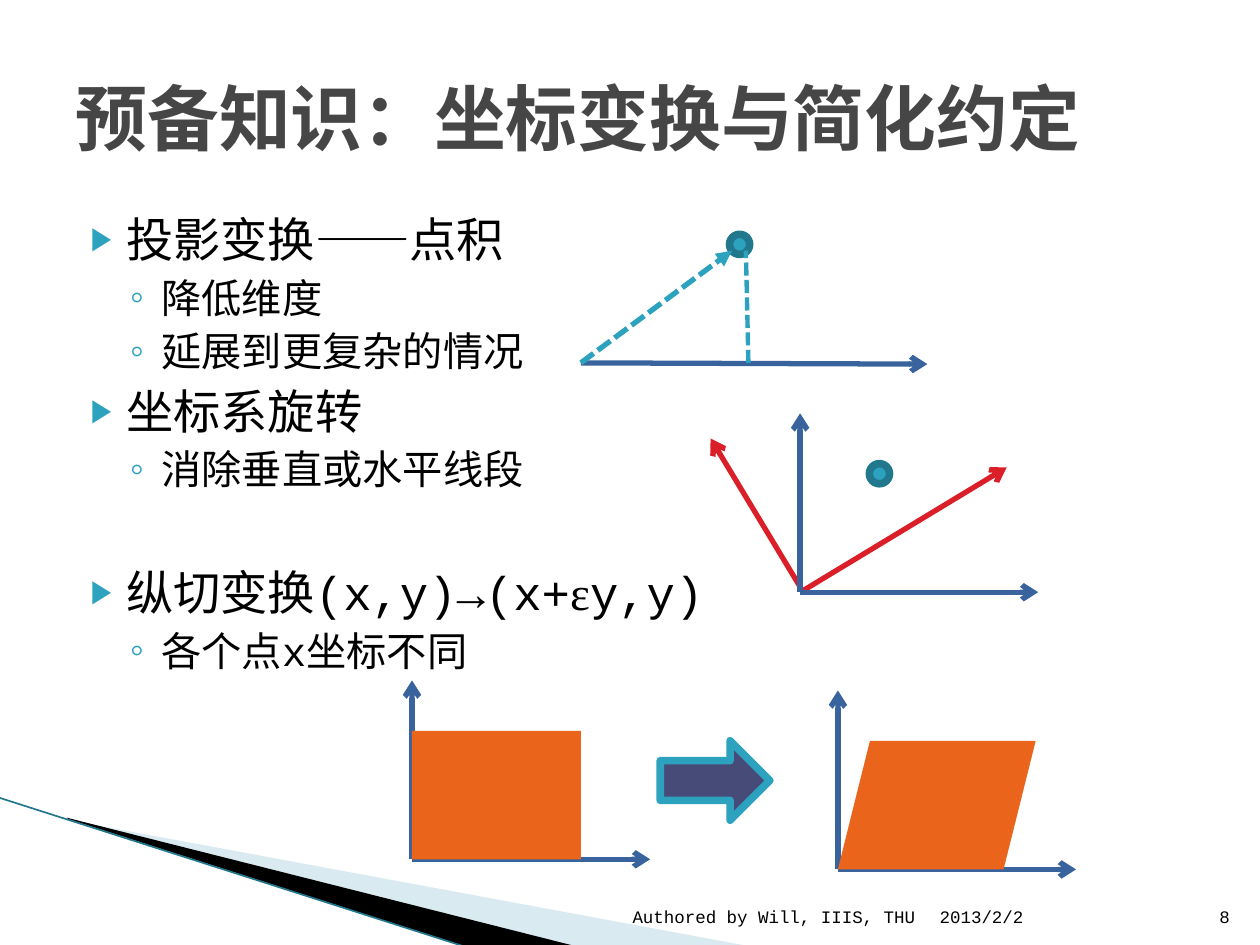
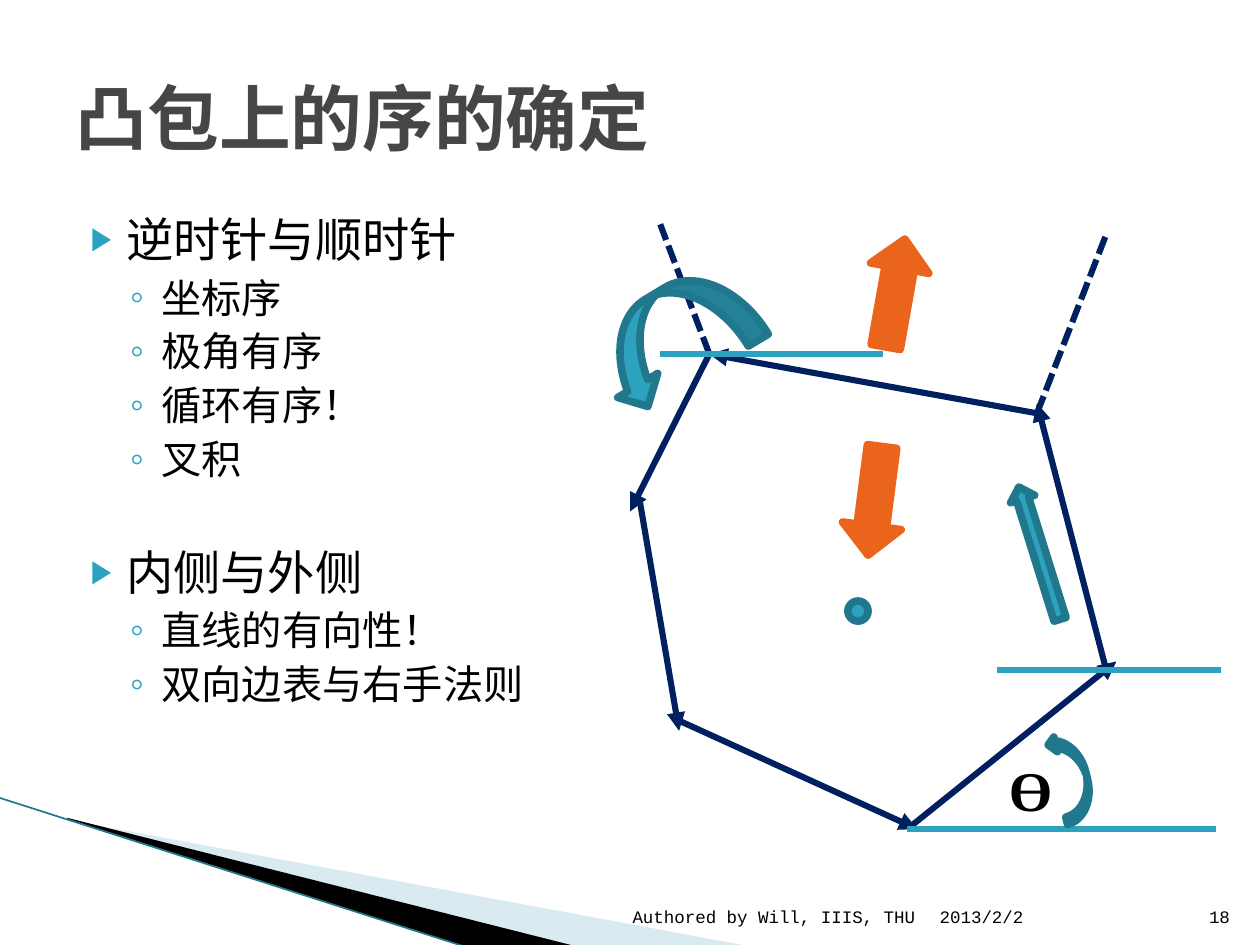
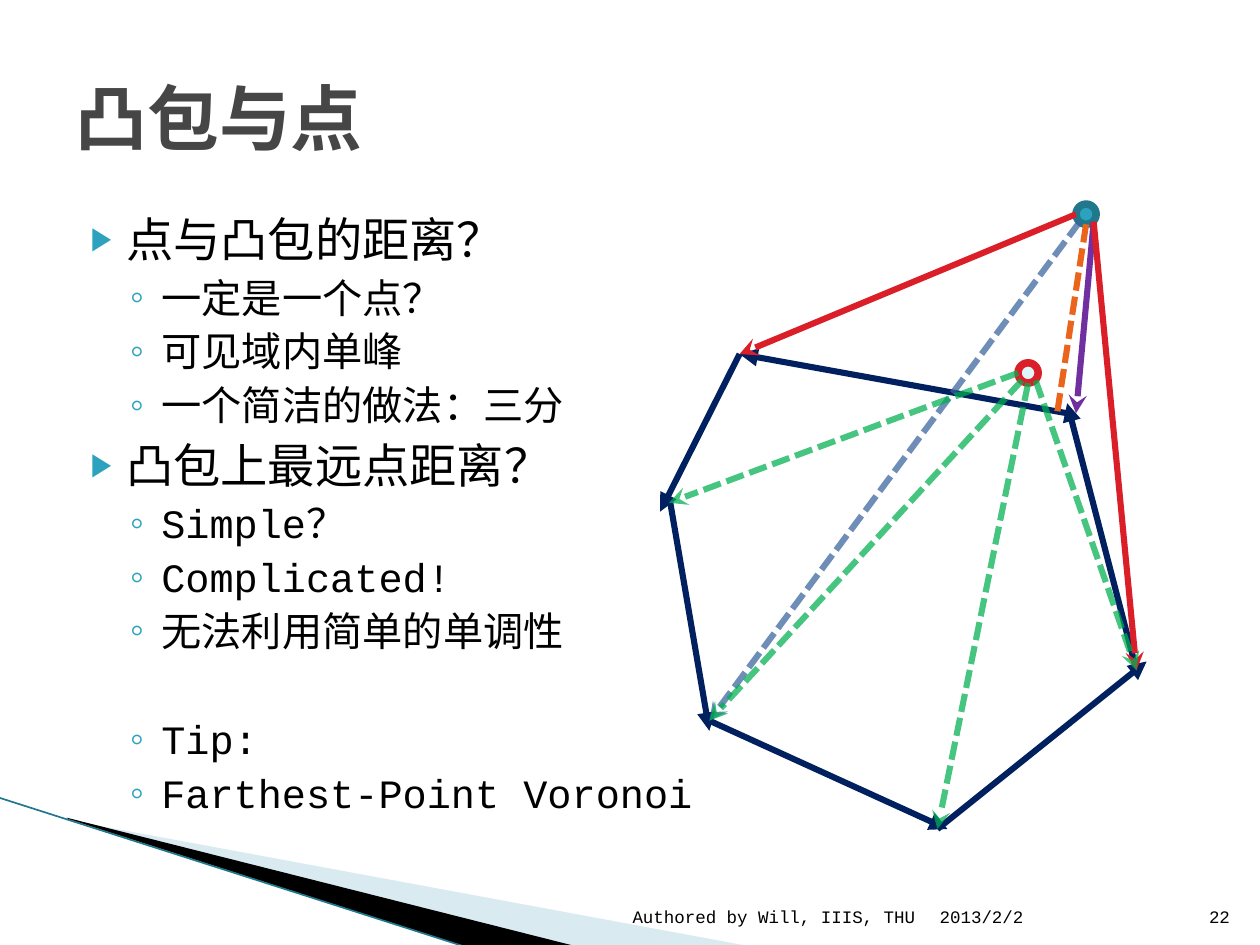
from lxml import etree
from pptx import Presentation
from pptx.dml.color import RGBColor
from pptx.enum.dml import MSO_LINE
from pptx.enum.shapes import MSO_CONNECTOR, MSO_SHAPE
from pptx.enum.text import MSO_ANCHOR, MSO_AUTO_SIZE, PP_ALIGN
from pptx.oxml.ns import qn
from pptx.util import Inches, Pt

STRAIGHT = MSO_CONNECTOR.STRAIGHT
SYS_DASH = MSO_LINE.SQUARE_DOT
ELLIPSE, RECT = MSO_SHAPE.OVAL, MSO_SHAPE.RECTANGLE
PARALLELOGRAM = MSO_SHAPE.PARALLELOGRAM
RIGHT_ARROW, DOWN_ARROW = MSO_SHAPE.RIGHT_ARROW, MSO_SHAPE.DOWN_ARROW
CURVED_ARROW = MSO_SHAPE.CURVED_UP_ARROW
LEFT, RIGHT = PP_ALIGN.LEFT, PP_ALIGN.RIGHT
TITLE_AND_CONTENT = 1

FONT, GREEK_FONT = "Courier New", "Times New Roman"
COLORS = {
    "text": "000000", "title": "464646", "teal": "2DA2BF", "dark teal": "21788D",
    "blue": "39639D", "navy": "002060", "red": "DA1F28", "orange": "EB641B",
    "green": "00B050", "purple": "7030A0", "indigo": "474B78", "ice": "DEF5FA",
    "pale band": "A0CBDC", "dark band": "000000",
}

# Stroke: colour, width, dashed, arrowhead, opacity in percent
STROKES = {
    "axis": ("blue", 3, False, "arrow", 100),
    "rotated axis": ("red", 3, False, "arrow", 100),
    "vector": ("teal", 3, True, "triangle", 100),
    "drop": ("teal", 2.5, True, None, 100),
    "hull edge": ("navy", 3.5, False, "triangle", 100),
    "extension": ("navy", 3.5, True, None, 100),
    "horizontal": ("teal", 3.5, False, None, 100),
    "tangent": ("red", 3.5, False, "stealth", 100),
    "nearest vertex": ("purple", 3.5, False, "stealth", 100),
    "distance": ("orange", 3.5, True, None, 100),
    "farthest": ("blue", 3.5, True, "stealth", 72),
    "inner distance": ("green", 3.5, True, "stealth", 72),
    "band edge": ("dark teal", 0.95, False, None, 100),
}

# Bullet level: size, left indent, hanging indent, space before, mark, mark size
LEVELS = [
    (27, 0.40, 0.28, 4, "▶", 68),
    (23, 0.68, 0.25, 3.2, "◦", 100),
]

BANDS = [
    ("pale band", 40, [(0.55, 6.51), (5.95, 7.51), (4.56, 7.51), (0.55, 6.5)]),
    ("dark band", 100, [(0.53, 6.49), (4.57, 7.51), (3.72, 7.52), (0.54, 6.5)]),
]

HULL = [
    ((5.63, 2.81), (5, 4.06)), ((5.08, 3.99), (5.39, 5.8)),
    ((5.39, 5.72), (7.28, 6.58)), ((7.2, 6.58), (8.86, 5.25)),
    ((8.78, 5.32), (8.23, 3.2)), ((8.23, 3.28), (5.63, 2.81)),
]


def axes(x, y):
    return [("axis", (x, y), (x + 1.89, y)), ("axis", (x, y), (x, y - 1.42))]


def hull(shift=0):
    return [("hull edge", (x1 + shift, y1), (x2 + shift, y2))
            for (x1, y1), (x2, y2) in HULL]


def point(x, y, fill="teal", outline="dark teal"):
    return (ELLIPSE, (x, y, 0.16, 0.16), 0, fill, outline)


# Bullets: level, text, extra space before in points.
# Figure parts: (stroke, start, end) or (preset, box, rotation, fill, outline)
SLIDES = [
    {
        "title": "预备知识：坐标变换与简化约定",
        "number": 8,
        "bullets": [
            (0, "投影变换——点积", 0),
            (1, "降低维度", 0),
            (1, "延展到更复杂的情况", 0),
            (0, "坐标系旋转", 0),
            (1, "消除垂直或水平线段", 0),
            (0, "纵切变换(x,y)→(x+εy,y)", 36.5),
            (1, "各个点x坐标不同", 0),
        ],
        "figure": [
            point(5.79, 1.86),
            ("axis", (4.61, 2.88), (7.36, 2.89)),
            ("vector", (4.61, 2.88), (5.81, 1.99)),
            ("drop", (5.94, 2.88), (5.92, 1.99)),
            ("rotated axis", (6.37, 4.69), (7.99, 3.71)),
            ("rotated axis", (6.37, 4.69), (5.64, 3.48)),
            *axes(6.35, 4.7),
            point(6.9, 3.68),
            *axes(3.27, 6.82),
            (RECT, (3.27, 5.8, 1.34, 1.02), 0, "orange", None),
            *axes(6.65, 6.9),
            (PARALLELOGRAM, (6.65, 5.88, 1.57, 1.02), 0, "orange", None),
            (RIGHT_ARROW, (5.24, 5.88, 0.87, 0.63), 0, "indigo", "teal"),
        ],
    },
    {
        "title": "凸包上的序的确定",
        "number": 18,
        "bullets": [
            (0, "逆时针与顺时针", 0),
            (1, "坐标序", 0),
            (1, "极角有序", 0),
            (1, "循环有序！", 0),
            (1, "叉积", 0),
            (0, "内侧与外侧", 30.5),
            (1, "直线的有向性！", 0),
            (1, "双向边表与右手法则", 0),
        ],
        "angle": ("ϴ", (7.91, 5.95, 0.63, 0.64)),
        "figure": [
            *hull(),
            (DOWN_ARROW, (6.71, 3.54, 0.47, 0.87), 7.4, "orange", "orange"),
            (DOWN_ARROW, (6.87, 1.89, 0.47, 0.87), 190.1, "orange", "orange"),
            point(6.73, 4.77),
            (RIGHT_ARROW, (7.7, 4.29, 1.1, 0.2), 252.7, "teal", "dark teal"),
            ("extension", (5.63, 2.81), (5.24, 1.78)),
            ("extension", (8.23, 3.28), (8.78, 1.86)),
            ("horizontal", (7.2, 6.58), (9.65, 6.58)),
            (CURVED_ARROW, (8.15, 6.05, 0.71, 0.24), 256.2, "teal", "dark teal"),
            ("horizontal", (7.91, 5.32), (9.69, 5.32)),
            ("horizontal", (5.24, 2.81), (7.01, 2.81)),
            (CURVED_ARROW, (4.7, 2.3, 1.3, 0.74), 149, "teal", "dark teal"),
        ],
    },
    {
        "title": "凸包与点",
        "number": 22,
        "bullets": [
            (0, "点与凸包的距离？", 0),
            (1, "一定是一个点？", 0),
            (1, "可见域内单峰", 0),
            (1, "一个简洁的做法：三分", 0),
            (0, "凸包上最远点距离？", 0),
            (1, "Simple？", 0),
            (1, "Complicated!", 0),
            (1, "无法利用简单的单调性", 0),
            (1, "Tip:", 31),
            (1, "Farthest-Point Voronoi", 0),
        ],
        "figure": [
            *hull(0.24),
            point(8.54, 1.62),
            ("tangent", (8.54, 1.7), (5.87, 2.81)),
            ("nearest vertex", (8.68, 1.76), (8.54, 3.28)),
            ("tangent", (8.68, 1.76), (9.02, 5.32)),
            ("distance", (8.62, 1.78), (8.39, 3.28)),
            ("farthest", (8.57, 1.76), (5.63, 5.72)),
            point(8.08, 2.88, "ice", "red"),
            ("inner distance", (8.08, 2.96), (5.31, 3.99)),
            ("inner distance", (8.11, 3.02), (5.63, 5.72)),
            ("inner distance", (8.16, 3.04), (7.44, 6.58)),
            ("inner distance", (8.22, 3.02), (9.02, 5.32)),
        ],
    },
]


def rgb(color):
    return RGBColor.from_string(COLORS[color])


def add_xml(parent, tag, **attributes):
    return etree.SubElement(parent, qn(tag), attributes)


def set_opacity(element, percent):
    if percent < 100:
        color = next(element.iter(qn("a:srgbClr")))
        add_xml(color, "a:alpha", val=str(percent * 1000))


def place(shape, box):
    shape.left, shape.top, shape.width, shape.height = map(Inches, box)


def style_font(font, size, color="text", name=FONT, bold=False):
    font.name, font.size, font.bold = name, Pt(size), bold
    font.color.rgb = rgb(color)


def add_stroke(slide, stroke, start, end):
    color, width, dashed, head, opacity = STROKES[stroke]
    connector = slide.shapes.add_connector(STRAIGHT, *map(Inches, start + end))
    connector.line.color.rgb = rgb(color)
    connector.line.width = Pt(width)
    if dashed:
        connector.line.dash_style = SYS_DASH
    properties = connector.element.spPr
    outline = properties.find(qn("a:ln"))
    set_opacity(outline, opacity)
    if head:
        add_xml(outline, "a:tailEnd", type=head)
    add_xml(properties, "a:effectLst")
    return connector


def paint(shape, fill, outline=None):
    shape.shadow.inherit = False
    shape.fill.solid()
    shape.fill.fore_color.rgb = rgb(fill)
    if outline:
        shape.line.color.rgb = rgb(outline)
        shape.line.width = Pt(4.33)
    else:
        shape.line.fill.background()


def add_solid(slide, preset, box, rotation, fill, outline):
    shape = slide.shapes.add_shape(preset, *map(Inches, box))
    shape.rotation = rotation
    paint(shape, fill, outline)


def add_label(slide, text, box, size=10, align=LEFT, anchor=MSO_ANCHOR.BOTTOM,
              name=FONT, bold=False):
    label = slide.shapes.add_textbox(*map(Inches, box))
    frame = label.text_frame
    frame.word_wrap = True
    frame.vertical_anchor = anchor
    frame.text = text
    paragraph = frame.paragraphs[0]
    paragraph.alignment = align
    style_font(paragraph.runs[0].font, size, name=name, bold=bold)


def add_bands(slide, master):
    """Draw the corner bands and move them behind everything on the master."""
    parts = []
    for color, opacity, (first, *others) in BANDS:
        builder = slide.shapes.build_freeform(*map(Inches, first), scale=1.0)
        builder.add_line_segments([tuple(map(Inches, xy)) for xy in others])
        band = builder.convert_to_shape()
        paint(band, color)
        set_opacity(band.element.spPr, opacity)
        parts.append(band)
    parts.append(add_stroke(slide, "band edge", (-0.01, 6.33), (3.71, 7.52)))
    for index, part in enumerate(parts, start=2):
        master.shapes.element.insert(index, part.element)


def set_title(title, text):
    place(title, (0.5, 0.3, 9, 1.25))
    frame = title.text_frame
    frame.text = text
    frame.auto_size = MSO_AUTO_SIZE.NONE
    frame.vertical_anchor = MSO_ANCHOR.MIDDLE
    frame.paragraphs[0].alignment = LEFT
    style_font(frame.paragraphs[0].runs[0].font, 41, "title", bold=True)


def set_bullets(body, bullets):
    place(body, (0.5, 1.62, 9, 4.95))
    frame = body.text_frame
    frame.auto_size = MSO_AUTO_SIZE.NONE
    for index, (level, text, gap) in enumerate(bullets):
        paragraph = frame.add_paragraph() if index else frame.paragraphs[0]
        size, indent, hanging, before, mark, mark_size = LEVELS[level]
        paragraph.level = level
        paragraph.space_before = Pt(before + gap)
        for part in filter(None, text.partition("ε")):
            run = paragraph.add_run()
            run.text = part
            style_font(run.font, size, name=GREEK_FONT if part == "ε" else FONT)
        properties = paragraph._p.get_or_add_pPr()
        properties.set("marL", str(Inches(indent)))
        properties.set("indent", str(-Inches(hanging)))
        add_xml(add_xml(properties, "a:buClr"), "a:srgbClr", val=COLORS["teal"])
        add_xml(properties, "a:buSzPct", val=str(mark_size * 1000))
        add_xml(properties, "a:buChar", char=mark)


def add_footer(slide, number):
    add_label(slide, "2013/2/2", (7.36, 7.01, 2.1, 0.4))
    add_label(slide, "Authored by Will, IIIS, THU", (4.79, 7.01, 2.57, 0.4), align=RIGHT)
    add_label(slide, str(number), (9.46, 7.01, 0.4, 0.4), align=RIGHT)


def main():
    prs = Presentation()
    prs.slide_width, prs.slide_height = Inches(10), Inches(7.5)
    for content in SLIDES:
        slide = prs.slides.add_slide(prs.slide_layouts[TITLE_AND_CONTENT])
        if content is SLIDES[0]:
            add_bands(slide, prs.slide_master)
        set_title(slide.shapes.title, content["title"])
        set_bullets(slide.placeholders[1], content["bullets"])
        for part in content["figure"]:
            draw = add_stroke if part[0] in STROKES else add_solid
            draw(slide, *part)
        if "angle" in content:
            add_label(slide, *content["angle"], size=32, anchor=MSO_ANCHOR.TOP,
                      name=GREEK_FONT, bold=True)
        add_footer(slide, content["number"])
    prs.save("out.pptx")


if __name__ == "__main__":
    main()
